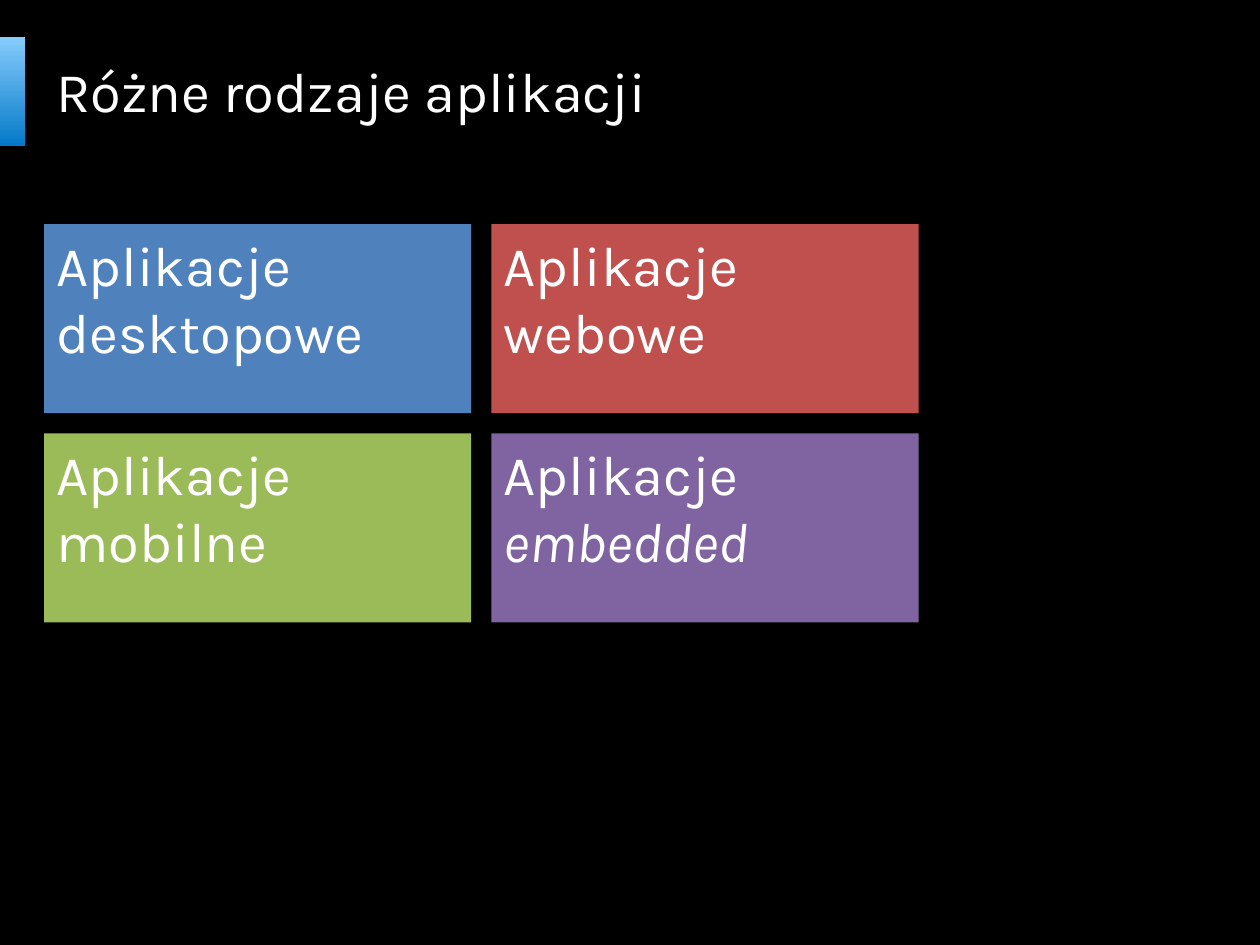
"""Build a slide showing four kinds of applications."""
from pptx import Presentation
from pptx.dml.color import RGBColor
from pptx.enum.shapes import MSO_SHAPE as Shape
from pptx.enum.text import MSO_ANCHOR as Anchor, PP_ALIGN as Align
from pptx.util import Inches, Pt

BLACK = RGBColor(0x00, 0x00, 0x00)
WHITE = RGBColor(0xFF, 0xFF, 0xFF)
LIGHT_BLUE = RGBColor(0x87, 0xCD, 0xFC)
DEEP_BLUE = RGBColor(0x04, 0x79, 0xC8)
BLUE = RGBColor(0x4F, 0x81, 0xBD)
RED = RGBColor(0xC0, 0x50, 0x4D)
GREEN = RGBColor(0x9B, 0xBB, 0x59)
PURPLE = RGBColor(0x80, 0x64, 0xA2)


def write(frame, *texts, anchor=Anchor.TOP, before=0, italic_from=1):
    frame.word_wrap = True
    frame.vertical_anchor = anchor
    paragraph = frame.paragraphs[0]
    paragraph.alignment = Align.LEFT
    paragraph.space_before = Pt(before)
    for index, text in enumerate(texts):
        run = paragraph.add_run()
        run.text = text
        run.font.name = "Karla"
        run.font.size = Pt(32)
        run.font.color.rgb = WHITE
        if index >= italic_from:
            run.font.italic = True


def add_block(left, top, width, height):
    block = slide.shapes.add_shape(
        Shape.RECTANGLE, Inches(left), Inches(top), Inches(width), Inches(height))
    block.shadow.inherit = False
    block.line.fill.background()
    return block


deck = Presentation()
deck.slide_width, deck.slide_height = Inches(10), Inches(7.5)
slide = deck.slides.add_slide(deck.slide_layouts[6])
slide.background.fill.solid()
slide.background.fill.fore_color.rgb = BLACK

accent = add_block(0, 0.29, 0.2, 0.87)
accent.fill.gradient()
accent.fill.gradient_angle = 270
for stop, color, position in zip(accent.fill.gradient_stops, (LIGHT_BLUE, DEEP_BLUE), (0, 1)):
    stop.color.rgb = color
    stop.position = position

title = slide.shapes.add_textbox(Inches(0.35), Inches(0.29), Inches(7.09), Inches(0.85))
write(title.text_frame, "Różne rodzaje aplikacji", anchor=Anchor.MIDDLE)

TILE_WIDTH, TILE_HEIGHT, GAP = 3.39, 1.5, 0.16
kinds = [
    (BLUE, ["Aplikacje desktopowe"]),
    (RED, ["Aplikacje webowe"]),
    (GREEN, ["Aplikacje mobilne"]),
    (PURPLE, ["Aplikacje ", "embedded"]),
]
for index, (color, words) in enumerate(kinds):
    row, column = divmod(index, 2)
    tile = add_block(0.35 + column * (TILE_WIDTH + GAP), 1.78 + row * (TILE_HEIGHT + GAP),
                     TILE_WIDTH, TILE_HEIGHT)
    tile.fill.solid()
    tile.fill.fore_color.rgb = color
    write(tile.text_frame, *words, before=2)

deck.save("out.pptx")
